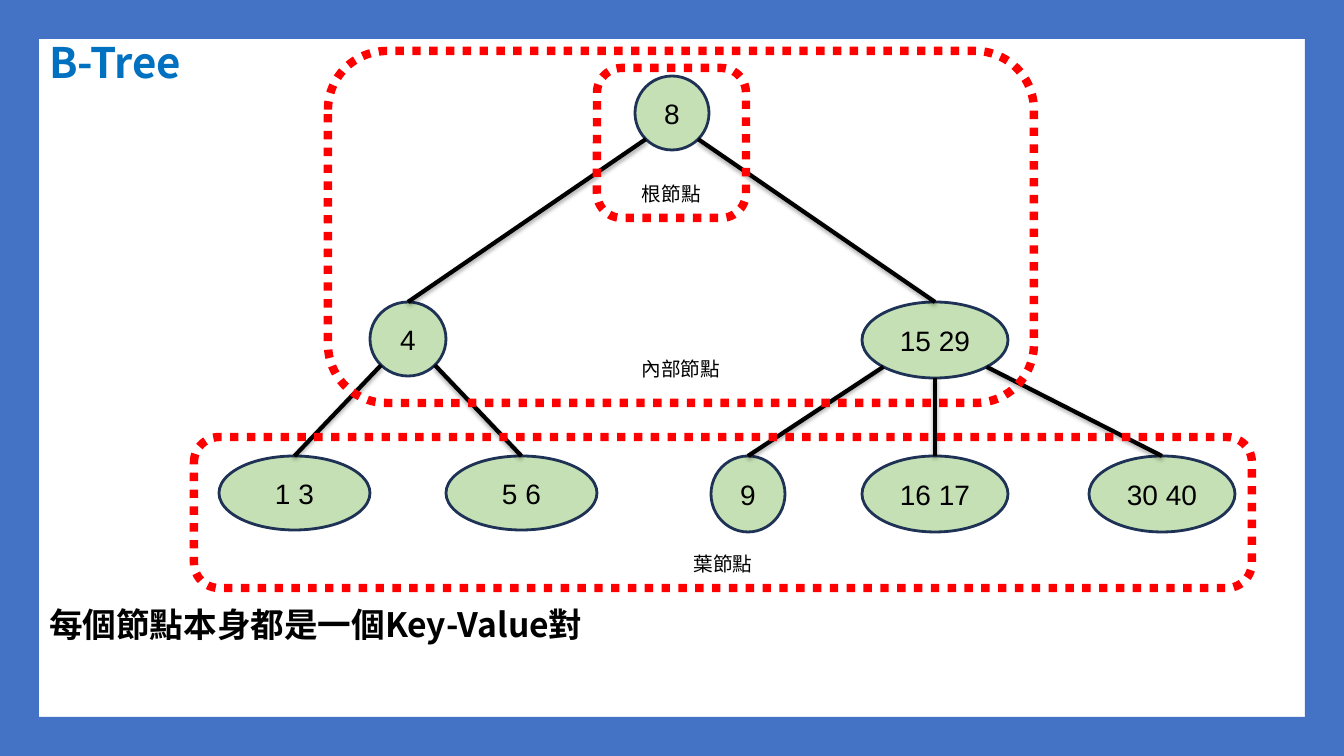
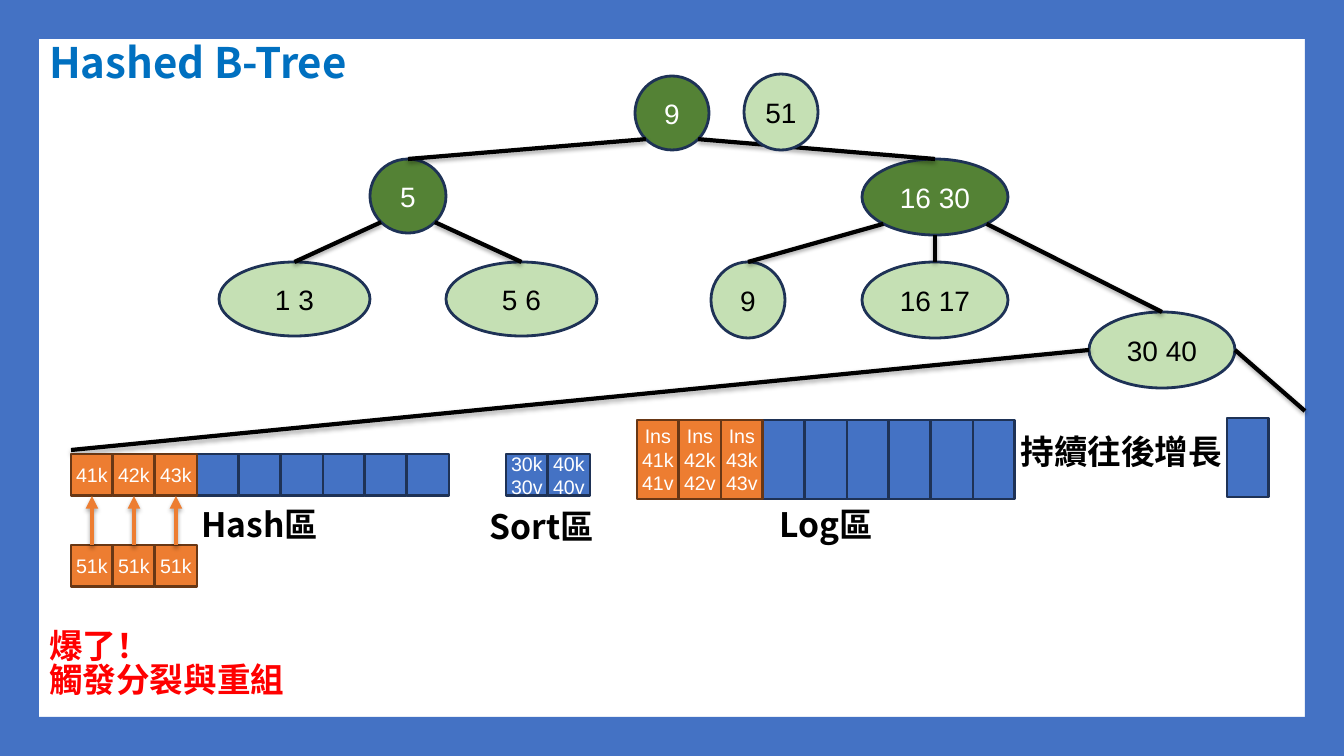
from math import sqrt

from lxml.etree import SubElement
from pptx import Presentation
from pptx.dml.color import RGBColor
from pptx.enum.dml import MSO_LINE
from pptx.enum.shapes import MSO_CONNECTOR, MSO_SHAPE
from pptx.enum.text import MSO_ANCHOR as ANCHOR, MSO_AUTO_SIZE as AUTO, PP_ALIGN as ALIGN
from pptx.oxml.ns import qn
from pptx.util import Emu, Pt

WIDTH, HEIGHT, BAND = 1344, 756, 39
EMU_PER_PX = 12192000 / WIDTH
BLUE, NAVY, TITLE_BLUE = "4472C4", "1E3256", "0070C0"
ORANGE, BROWN, RED = "ED7D31", "683715", "FF0000"
LEAF_GREEN, INNER_GREEN = "C5E0B4", "548235"
BLACK, WHITE = "000000", "FFFFFF"
HEADING_FONT, LABEL_FONT, KEY_FONT = "Noto Sans CJK TC", "Noto Sans CJK SC", "Arial"
CELL, LOG_HEIGHT = 42, 79
DIAGONAL = sqrt(0.5)

# (left, width, height, level, parent, side of the parent)
NODES = [
    (635, 74, 74, 0, None, 0),
    (370, 76, 74, 1, 0, -1),
    (862, 146, 76, 1, 0, 1),
    (219, 151, 74, 2, 1, -1),
    (446, 151, 74, 2, 1, 1),
    (711, 74, 76, 2, 2, -1),
    (862, 146, 76, 2, 2, 0),
    (1089, 146, 76, 2, 2, 1),
]


def px(*lengths):
    return [Emu(round(length * EMU_PER_PX)) for length in lengths]


def rgb(color):
    return RGBColor.from_string(color)


def write(frame, text, size=20, color=BLACK, font=KEY_FONT, bold=False,
          align=ALIGN.CENTER, anchor=ANCHOR.MIDDLE, spacing=1.0, wrap=False):
    frame.auto_size = AUTO.NONE
    frame.word_wrap = wrap
    frame.vertical_anchor = anchor
    for index, line in enumerate(text.split("\n")):
        paragraph = frame.add_paragraph() if index else frame.paragraphs[0]
        paragraph.alignment = align
        paragraph.line_spacing = spacing
        paragraph.space_before = Pt(0)
        run = paragraph.add_run()
        run.text = line
        run.font.size = Pt(size)
        run.font.bold = bold
        run.font.color.rgb = rgb(color)
        run.font.name = font
        SubElement(run._r.get_or_add_rPr(), qn("a:ea")).set("typeface", font)


def write_heading(frame, text, size=24, color=BLACK, align=ALIGN.LEFT):
    write(frame, text, size=size, color=color, font=HEADING_FONT, bold=True,
          align=align, anchor=ANCHOR.TOP, spacing=0.85, wrap=True)


def add_figure(slide, kind, box, fill=None, line=None, weight=2):
    figure = slide.shapes.add_shape(kind, *px(*box))
    figure.shadow.inherit = False
    if fill:
        figure.fill.solid()
        figure.fill.fore_color.rgb = rgb(fill)
    else:
        figure.fill.background()
    if line:
        figure.line.color.rgb = rgb(line)
        figure.line.width = Pt(weight)
    else:
        figure.line.fill.background()
    return figure


def add_line(slide, start, end, color=BLACK, arrow=False):
    line = slide.shapes.add_connector(MSO_CONNECTOR.STRAIGHT, *px(*start, *end))
    line.line.color.rgb = rgb(color)
    line.line.width = Pt(3)
    if arrow:
        SubElement(line.line._get_or_add_ln(), qn("a:tailEnd")).set("type", "triangle")
    effects = SubElement(line._element.spPr, qn("a:effectLst"))
    shadow = SubElement(effects, qn("a:outerShdw"), blurRad="40000", dist="23000",
                        dir="5400000", rotWithShape="0")
    shade = SubElement(shadow, qn("a:srgbClr"), val=BLACK)
    SubElement(shade, qn("a:alpha"), val="35000")
    return line


def add_node(slide, key, box, inner=False):
    node = add_figure(slide, MSO_SHAPE.OVAL, box, INNER_GREEN if inner else LEAF_GREEN, NAVY)
    write(node.text_frame, key, color=WHITE if inner else BLACK)
    return node


def add_tree(slide, keys, levels, dark_inner=False, last_top=None):
    boxes = [(left, levels[level], width, height)
             for left, width, height, level, _, _ in NODES]
    if last_top:
        left, _, width, height = boxes[-1]
        boxes[-1] = (left, last_top, width, height)
    nodes = [add_node(slide, key, box, dark_inner and spec[3] < 2)
             for key, box, spec in zip(keys, boxes, NODES)]
    for node, box, (*_, parent, side) in zip(nodes, boxes, NODES):
        if parent is None:
            continue
        left, top, width, height = boxes[parent]
        reach = DIAGONAL if side else 1
        start = (left + width / 2 * (1 + side * reach), top + height / 2 * (1 + reach))
        branch = add_line(slide, start, (box[0] + box[2] / 2, box[1]))
        branch.end_connect(node, 0)
    return boxes


def add_region(slide, label, box):
    region = add_figure(slide, MSO_SHAPE.ROUNDED_RECTANGLE, box, line=RED, weight=6)
    region.line.dash_style = MSO_LINE.ROUND_DOT
    write(region.text_frame, label, size=14, font=LABEL_FONT, anchor=ANCHOR.BOTTOM, wrap=True)


def add_cells(slide, left, top, height, entries, count, fill=ORANGE, line=BROWN):
    cells = []
    for index in reversed(range(count)):
        filled = index < len(entries)
        cell = add_figure(slide, MSO_SHAPE.RECTANGLE, (left + index * CELL, top, CELL, height),
                          fill if filled else BLUE, line if filled else NAVY)
        if filled:
            write(cell.text_frame, entries[index], size=14, color=WHITE)
        cells.insert(0, cell)
    return cells


def add_caption(slide, text, box, align=ALIGN.CENTER):
    caption = slide.shapes.add_textbox(*px(*box))
    write_heading(caption.text_frame, text, align=align)


def place(shape, box):
    shape.left, shape.top, shape.width, shape.height = px(*box)


def frame_layout(layout, slide):
    place(layout.placeholders[0], (BAND, BAND, WIDTH - 2 * BAND, 61))
    bands = [(0, 0, WIDTH, BAND), (0, HEIGHT - BAND, WIDTH, BAND),
             (0, 0, BAND, HEIGHT), (WIDTH - BAND, 0, BAND, HEIGHT)]
    for index, box in enumerate(bands):
        band = add_figure(slide, MSO_SHAPE.RECTANGLE, box, BLUE)
        band._element.nvSpPr.cNvPr.set("id", str(100 + index))
        layout.shapes.element.insert(2 + index, band._element)


def start_slide(deck, title, message, top, height, color=BLACK):
    slide = deck.slides.add_slide(deck.slide_layouts[1])
    write_heading(slide.shapes.title.text_frame, title, size=30, color=TITLE_BLUE)
    body = slide.placeholders[1]
    place(body, (BAND, top, WIDTH - 2 * BAND, height))
    write_heading(body.text_frame, message, color=color)
    for paragraph in body.text_frame.paragraphs:
        properties = paragraph._p.get_or_add_pPr()
        properties.set("marL", "0")
        properties.set("indent", "0")
        SubElement(properties, qn("a:buNone"))
    return slide


def build_btree(deck):
    slide = start_slide(deck, "B-Tree", "每個節點本身都是一個Key-Value對", 605, 50)
    frame_layout(deck.slide_layouts[1], slide)
    add_tree(slide, ["8", "4", "15 29", "1 3", "5 6", "9", "16 17", "30 40"], (76, 302, 456))
    add_region(slide, "內部節點", (328, 51, 706, 352))
    add_region(slide, "葉節點", (194, 437, 1058, 151))
    add_region(slide, "根節點", (597, 68, 149, 150))


def build_hashed_btree(deck):
    slide = start_slide(deck, "Hashed B-Tree", "爆了！\n觸發分裂與重組", 626, 92, RED)
    boxes = add_tree(slide, ["9", "5", "16 30", "1 3", "5 6", "9", "16 17", "30 40"],
                     (76, 159, 262), dark_inner=True, last_top=312)
    add_node(slide, "51", (744, 74, 74, 76))

    left, top, width, height = boxes[-1]
    middle = top + height / 2
    add_line(slide, (left, middle), (71, 450))
    add_line(slide, (left + width, middle), (WIDTH - BAND, 411))

    keys = ["41k", "42k", "43k"]
    hash_cells = add_cells(slide, 71, 454, CELL, keys, 9)
    add_cells(slide, 506, 454, CELL, ["30k\n30v", "40k\n40v"], 2, BLUE, NAVY)
    log_entries = [f"Ins\n{key}\n{key[:-1]}v" for key in keys]
    add_cells(slide, 637, 420, LOG_HEIGHT, log_entries, 9)
    add_cells(slide, 1227, 418, LOG_HEIGHT, [], 1)

    new_cells = add_cells(slide, 71, 545, CELL, ["51k"] * 3, 3)
    for new_cell, hash_cell in zip(new_cells, hash_cells):
        arrow = add_line(slide, (0, 0), (0, 0), ORANGE, arrow=True)
        arrow.begin_connect(new_cell, 0)
        arrow.end_connect(hash_cell, 2)

    add_caption(slide, "Hash區", (71, 505, 378, 50))
    add_caption(slide, "Sort區", (475, 507, 134, 50))
    add_caption(slide, "Log區", (637, 505, 378, 50))
    add_caption(slide, "持續往後增長", (754, 432, 478, 50), ALIGN.RIGHT)


def main():
    deck = Presentation()
    deck.slide_width, deck.slide_height = px(WIDTH, HEIGHT)
    build_btree(deck)
    build_hashed_btree(deck)
    deck.save("out.pptx")


if __name__ == "__main__":
    main()
